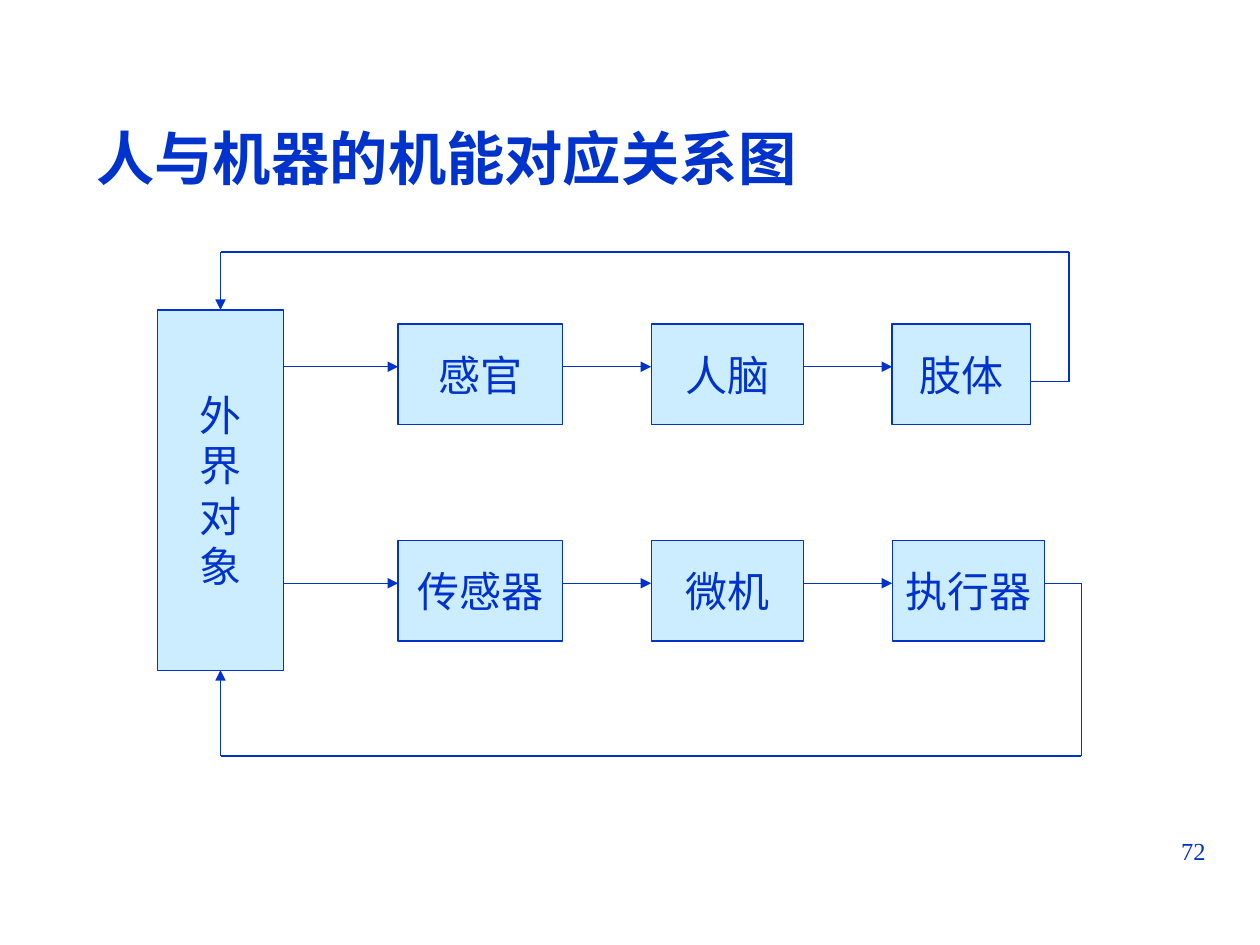
"""Builds a slide relating human faculties to machine functions."""
from itertools import pairwise

from lxml.etree import SubElement
from pptx import Presentation
from pptx.dml.color import RGBColor
from pptx.enum.shapes import MSO_CONNECTOR as CONN, MSO_SHAPE as SHAPE
from pptx.enum.text import MSO_ANCHOR as ANCHOR, PP_ALIGN as ALIGN
from pptx.oxml.ns import qn
from pptx.util import Pt

BLUE, PALE = "0033CC", "CCECFF"
SANS, SERIF = "Roboto", "Times New Roman"
BOX_H = 57.6
COLUMNS = [(227.5, 94), (372.1, 87), (509.8, 87)]
LIMB_W = 79.2
WORLD = (90, 177.1, 72, 205.9)


def color(value):
    return RGBColor.from_string(value)


def add_text(tf, lines, size, font=SANS, bold=False, align=ALIGN.LEFT):
    for i, line in enumerate(lines):
        p = tf.paragraphs[0] if i == 0 else tf.add_paragraph()
        p.alignment = align
        r = p.add_run()
        r.text = line
        r.font.size, r.font.bold, r.font.name = Pt(size), bold, font
        r.font.color.rgb = color(BLUE)
        SubElement(r.font._element, qn("a:ea"), typeface=font)


def add_label(s, frame, text, size, anchor=ANCHOR.TOP, spacing=1.0, **style):
    tf = s.shapes.add_textbox(*map(Pt, frame)).text_frame
    tf.word_wrap = True
    tf.vertical_anchor = anchor
    add_text(tf, [text], size, **style)
    tf.paragraphs[0].line_spacing = spacing


def add_box(s, frame, lines):
    sp = s.shapes.add_shape(SHAPE.RECTANGLE, *map(Pt, frame))
    sp.shadow.inherit = False
    sp.fill.solid()
    sp.fill.fore_color.rgb = color(PALE)
    sp.line.color.rgb = color(BLUE)
    sp.line.width = Pt(0.75)
    tf = sp.text_frame
    tf.word_wrap = False
    tf.vertical_anchor = ANCHOR.MIDDLE
    add_text(tf, lines, 24, align=ALIGN.CENTER)


def add_line(s, start, end, arrow=False):
    c = s.shapes.add_connector(CONN.STRAIGHT, *map(Pt, (*start, *end)))
    c.line.color.rgb = color(BLUE)
    c.line.width = Pt(0.75)
    if arrow:
        SubElement(c.line._get_or_add_ln(), qn("a:tailEnd"), type="triangle")
    SubElement(c._element.spPr, qn("a:effectLst"))


def add_route(s, points):
    segments = list(pairwise(points))
    for i, (start, end) in enumerate(segments, 1):
        add_line(s, start, end, arrow=i == len(segments))


def add_chain(s, top, arrow_y, names, columns):
    left = WORLD[0] + WORLD[2]
    for name, (x, w) in zip(names, columns):
        add_box(s, (x, top, w, BOX_H), [name])
        add_line(s, (left, arrow_y), (x, arrow_y), arrow=True)
        left = x + w
    return left


def main():
    prs = Presentation()
    prs.slide_width, prs.slide_height = Pt(720), Pt(540)
    s = prs.slides.add_slide(prs.slide_layouts[6])

    add_label(s, (48, 66, 612, 48), "人与机器的机能对应关系图", 33.3,
              anchor=ANCHOR.BOTTOM, spacing=0.9, bold=True)
    add_box(s, WORLD, "外界对象")
    human_end = add_chain(s, 185.1, 209.6, ["感官", "人脑", "肢体"],
                          [*COLUMNS[:2], (COLUMNS[2][0], LIMB_W)])
    machine_end = add_chain(s, 308.8, 333.3, ["传感器", "微机", "执行器"], COLUMNS)

    x, top, w, h = WORLD
    center = x + w / 2
    add_route(s, [(human_end, 218.1), (610.8, 218.1), (610.8, 144),
                  (center, 144), (center, top)])
    add_route(s, [(machine_end, 333.3), (618, 333.3), (618, 432),
                  (center, 432), (center, top + h)])
    add_label(s, (516, 474, 180, 37.5), "72", 14, font=SERIF, align=ALIGN.RIGHT)
    prs.save("out.pptx")


if __name__ == "__main__":
    main()
